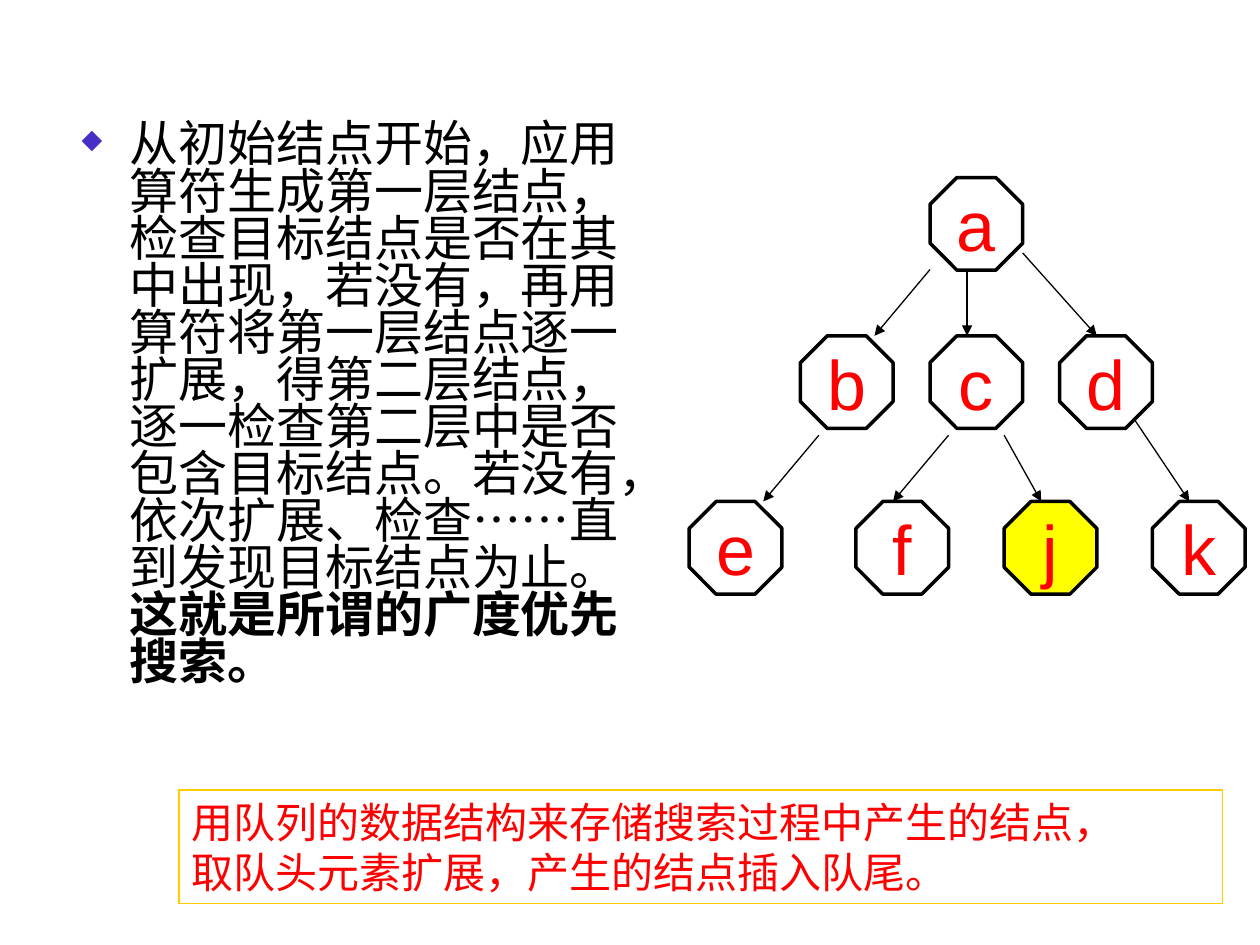
import pptx
import pptx.dml.color
import pptx.enum.lang
import pptx.enum.shapes
import pptx.enum.text
import pptx.oxml.ns
import pptx.util
from lxml import etree

SLIDE_W, SLIDE_H = 10, 7.5
COLORS = {"text": "000000", "accent": "FF0000", "goal": "FFFF00",
          "border": "FFCC00", "bullet": "472EC6"}

# Grid of the search tree, in inches
TREE_LEFT, TREE_TOP = 5.47, 1.35
COL = 3.97 / 27
ROW = 2.63 / 20
NODE_COLS = 5

INTRO = ("从初始结点开始，应用算符生成第一层结点，检查目标结点是否在其中出现，若没有，"
         "再用算符将第一层结点逐一扩展，得第二层结点，逐一检查第二层中是否包含目标结点。"
         "若没有，依次扩展、检查……直到发现目标结点为止。")
CONCLUSION = "这就是所谓的广度优先搜索。"
QUEUE_NOTE = "用队列的数据结构来存储搜索过程中产生的结点，\n取队头元素扩展，产生的结点插入队尾。"

# Tree levels: row, then the column of each node
LEVELS = [(0.45, {"a": 13}),
          (10, {"b": 6, "c": 13, "d": 20}),
          (20, {"e": 0, "f": 9, "j": 17, "k": 25})]
GOAL = "j"
# Arrows: column and row of the start, then of the end
ARROWS = [(13, 6, 10, 10), (7, 16, 4, 20), (15, 6, 15, 10), (14, 16, 11, 20),
          (17, 16, 19, 20), (18, 5, 22, 10), (24, 15, 27, 20)]


def rgb(name):
    return pptx.dml.color.RGBColor.from_string(COLORS[name])


def share(x, y, w, h):
    """Turn shares of the slide's size into lengths."""
    return [pptx.util.Inches(v) for v in
            (x * SLIDE_W, y * SLIDE_H, w * SLIDE_W, h * SLIDE_H)]


def tree_point(col, row):
    return (pptx.util.Inches(TREE_LEFT + col * COL),
            pptx.util.Inches(TREE_TOP + row * ROW))


def add_xml(parent, tag, **attrs):
    return etree.SubElement(parent, pptx.oxml.ns.qn(tag), **attrs)


class SlideBuilder:
    font = "Arial"

    def __init__(self, s):
        self.s = s
        self.tree = s.shapes.add_group_shape()

    def style_run(self, r, size, color, bold=False):
        r.font.name = self.font
        r.font.size = pptx.util.Pt(size)
        r.font.bold = bold
        r.font.color.rgb = rgb(color)
        r.font.language_id = pptx.enum.lang.MSO_LANGUAGE_ID.SIMPLIFIED_CHINESE

    def style_shape(self, sp, line, width, fill=None):
        sp.shadow.inherit = False
        if fill:
            sp.fill.solid()
            sp.fill.fore_color.rgb = rgb(fill)
        else:
            sp.fill.background()
        sp.line.color.rgb = rgb(line)
        sp.line.width = pptx.util.Pt(width)

    def bullet_text(self, box, size, plain, bold):
        tf = self.s.shapes.add_textbox(*share(*box)).text_frame
        tf.word_wrap = True
        p = tf.paragraphs[0]
        pPr = p._p.get_or_add_pPr()
        indent = pptx.util.Inches(0.38)
        pPr.set("marL", str(indent))
        pPr.set("indent", str(-indent))
        add_xml(add_xml(pPr, "a:buClr"), "a:srgbClr", val=COLORS["bullet"])
        add_xml(pPr, "a:buSzPct", val="55000")
        add_xml(pPr, "a:buChar", char="◆")
        p.line_spacing = 0.8
        for text, is_bold in ((plain, False), (bold, True)):
            r = p.add_run()
            r.text = text
            self.style_run(r, size, "text", is_bold)

    def node(self, label, col, row, fill=None):
        side = pptx.util.Inches(NODE_COLS * COL)
        sp = self.tree.shapes.add_shape(
            pptx.enum.shapes.MSO_SHAPE.OCTAGON, *tree_point(col, row), side, side)
        sp.adjustments[0] = 0.29
        self.style_shape(sp, "text", 2, fill)
        tf = sp.text_frame
        tf.text = label
        tf.word_wrap = False
        tf.vertical_anchor = pptx.enum.text.MSO_ANCHOR.MIDDLE
        p = tf.paragraphs[0]
        p.alignment = pptx.enum.text.PP_ALIGN.CENTER
        self.style_run(p.runs[0], 40, "accent")

    def arrow(self, col1, row1, col2, row2):
        line = self.tree.shapes.add_connector(
            pptx.enum.shapes.MSO_CONNECTOR.STRAIGHT,
            *tree_point(col1, row1), *tree_point(col2, row2))
        line.line.color.rgb = rgb("text")
        line.line.width = pptx.util.Pt(0.75)
        add_xml(line.line._get_or_add_ln(), "a:tailEnd", type="triangle")
        add_xml(line._element.spPr, "a:effectLst")

    def note(self, box, size, text):
        sp = self.s.shapes.add_shape(
            pptx.enum.shapes.MSO_SHAPE.RECTANGLE, *share(*box))
        self.style_shape(sp, "border", 0.75)
        tf = sp.text_frame
        tf.text = text
        tf.word_wrap = True
        tf.vertical_anchor = pptx.enum.text.MSO_ANCHOR.TOP
        for p in tf.paragraphs:
            p.alignment = pptx.enum.text.PP_ALIGN.LEFT
            self.style_run(p.runs[0], size, "accent")


def main():
    prs = pptx.Presentation()
    prs.slide_width = pptx.util.Inches(SLIDE_W)
    prs.slide_height = pptx.util.Inches(SLIDE_H)
    builder = SlideBuilder(prs.slides.add_slide(prs.slide_layouts[6]))

    builder.bullet_text((0.055, 0.125, 0.465, 0.66), 28, INTRO, CONCLUSION)
    for row, nodes in LEVELS:
        for label, col in nodes.items():
            builder.node(label, col, row, "goal" if label == GOAL else None)
    for ends in ARROWS:
        builder.arrow(*ends)
    builder.note((0.142, 0.836, 0.828, 0.12), 24, QUEUE_NOTE)

    prs.save("out.pptx")


if __name__ == "__main__":
    main()
